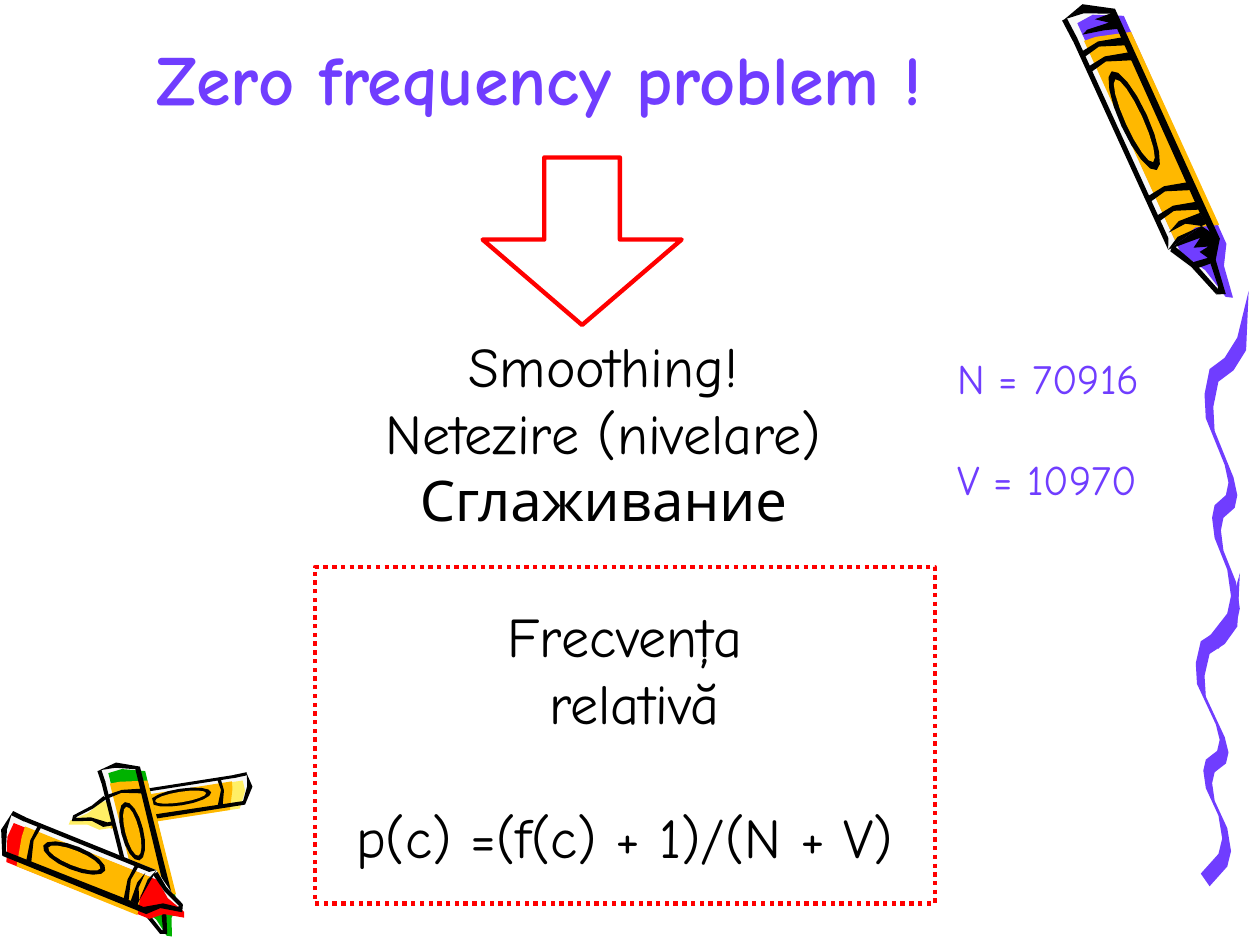
"""Builds the "Zero frequency problem" slide with its crayon decoration."""
from dataclasses import dataclass
from math import cos, hypot, pi, sin

from lxml import etree
from pptx import Presentation
from pptx.dml.color import RGBColor
from pptx.enum.dml import MSO_LINE
from pptx.enum.shapes import MSO_CONNECTOR, MSO_SHAPE
from pptx.enum.text import MSO_ANCHOR, MSO_AUTO_SIZE, PP_ALIGN
from pptx.oxml.ns import qn
from pptx.util import Inches, Pt

STRAIGHT = MSO_CONNECTOR.STRAIGHT
DOWN_ARROW, RECTANGLE = MSO_SHAPE.DOWN_ARROW, MSO_SHAPE.RECTANGLE
DOTTED = MSO_LINE.ROUND_DOT
TOP, MIDDLE, BOTTOM = MSO_ANCHOR.TOP, MSO_ANCHOR.MIDDLE, MSO_ANCHOR.BOTTOM
LEFT, CENTER = PP_ALIGN.LEFT, PP_ALIGN.CENTER
NO_AUTOFIT = MSO_AUTO_SIZE.NONE

FONT = "Comic Neue"
BLACK = RGBColor(0x00, 0x00, 0x00)
PAPER = RGBColor(0xF8, 0xF8, 0xF8)
VIOLET = RGBColor(0x70, 0x3D, 0xFF)
ORANGE = RGBColor(0xFF, 0xB8, 0x00)
YELLOW = RGBColor(0xFF, 0xEF, 0x66)
RED = RGBColor(0xFF, 0x00, 0x00)
GREEN = RGBColor(0x00, 0xB2, 0x00)

# Crayon parts: (distance from the blunt end, distance from the axis)
LENGTH = 2.38
SILHOUETTE = [(-0.12, -0.2), (-0.17, -0.02), (-0.03, 0.2), (1.97, 0.2), (LENGTH, 0.03), (1.88, -0.21)]
WAX = [(-0.05, -0.12), (1.94, -0.13), (2.15, -0.01), (2.41, 0.05), (2.44, 0.1),
       (2.18, 0.14), (2.03, 0.23), (0.05, 0.24), (-0.06, 0.02)]
SLEEVE = [(1.86, -0.13), (1.81, 0.06), (1.87, 0.24), (0.19, 0.24), (0.11, -0.03), (0.1, -0.13)]
NEAR_EDGE = [(0.02, -0.21), (1.88, -0.21), (1.8, -0.17), (0.05, -0.17)]
FAR_EDGE = [(-0.01, 0.15), (-0.1, -0.04), (-0.12, -0.2), (-0.17, -0.02), (-0.03, 0.2), (1.97, 0.2),
            (2.11, 0.1), (2.39, 0.06), (2.36, -0.01), (2.31, 0.03), (2.12, 0.05), (1.9, 0.15), (1.72, 0.14)]
POINT_EDGE = [(1.9, -0.2), (2.08, -0.1), (2.36, -0.01), (2.33, 0.02), (2.07, -0.06), (1.86, -0.16)]
COLLAR = [(1.88, -0.21), (1.82, -0.1), (1.82, 0.15), (1.72, 0.14), (1.71, -0.04), (1.76, -0.15), (1.75, 0),
          (1.82, 0.11)]
POINT_SHADE = [(1.88, -0.21), (1.82, 0.11), (1.97, 0.2), (2.12, 0.05), (2.11, -0.06), (2.05, -0.09),
               (2.07, 0.05), (2, 0.01), (1.99, 0.09), (1.95, -0.02), (1.9, 0.06)]
END_SHADE = [(0.05, -0.12), (0.09, 0.05), (0.13, 0.17), (-0.01, 0.16), (-0.02, 0.02), (0.05, 0.11), (0.03, -0.07)]
BAND = [(0, -0.19), (-0.03, -0.04), (0.05, 0.16), (-0.02, 0.16), (-0.07, -0.03), (-0.05, -0.19)]
BLUNT_CORNER = [(-0.12, -0.2), (0.06, -0.19)]

# One pen stroke, measured from its top left corner
STROKE = [(0.35, 0), (0.26, 0.37), (0.16, 0.53), (0.04, 0.62), (0, 0.82), (0.01, 1.01), (0.16, 1.38),
          (0.19, 1.52), (0.17, 1.62), (0.08, 1.7), (0.06, 1.8), (0.08, 1.96), (0.18, 2.21), (0.21, 2.42),
          (0.18, 2.56), (0.04, 2.74)]
NIB_X, NIB_Y = 0.07, 0.1


@dataclass
class Crayon:
    """Where a crayon lies, its thickness (negative flips it) and its looks."""
    blunt_end: tuple
    tip: tuple
    thickness: float
    color: RGBColor
    bands: tuple = (0.3, 1.65)
    shaded: bool = False

    def place(self, outline):
        """Turn crayon measurements into slide positions in inches."""
        (x, y), (tip_x, tip_y) = self.blunt_end, self.tip
        reach = hypot(tip_x - x, tip_y - y)
        along_x, along_y = (tip_x - x) / reach, (tip_y - y) / reach
        stretch = reach / LENGTH
        return [(x + along_x * a * stretch + along_y * c * self.thickness,
                 y + along_y * a * stretch - along_x * c * self.thickness) for a, c in outline]


BIG_CRAYON = Crayon((8.68, 0.18), (9.67, 2.35), 1, VIOLET, bands=(0.22, 0.35, 1.48, 1.65), shaded=True)
SMALL_CRAYONS = [
    Crayon((1.91, 6.27), (0.57, 6.48), 0.6, YELLOW),
    Crayon((0.96, 6.14), (1.28, 7.42), 0.8, GREEN),
    Crayon((0.1, 6.64), (1.46, 7.19), -0.86, RED),
]


def oval(half_length, half_width, corners=16):
    """Return the outline of the oval label on a crayon."""
    turns = [2 * pi * step / corners for step in range(corners)]
    return [(0.84 + half_length * cos(turn), -0.03 + half_width * sin(turn)) for turn in turns]


def add_outline(shapes, points, color):
    """Add a filled closed outline through points in inches."""
    corners = [(Inches(x), Inches(y)) for x, y in points]
    builder = shapes.build_freeform(*corners[0])
    builder.add_line_segments(corners[1:], close=True)
    outline = builder.convert_to_shape()
    outline.shadow.inherit = False
    outline.fill.solid()
    outline.fill.fore_color.rgb = color
    outline.line.fill.background()


def add_crayon(shapes, crayon):
    """Draw a crayon: wax and sleeve first, then the black ink over them."""
    parts = [(SILHOUETTE, PAPER), (WAX, crayon.color), (SLEEVE, ORANGE),
             (oval(0.43, 0.11), BLACK), (oval(0.36, 0.07), ORANGE)]
    ink = [NEAR_EDGE, FAR_EDGE, POINT_EDGE, COLLAR]
    ink += [[(position + a, c) for a, c in BAND] for position in crayon.bands]
    if crayon.shaded:
        ink += [POINT_SHADE, END_SHADE]
    parts += [(outline, BLACK) for outline in ink]

    group = shapes.add_group_shape().shapes
    for outline, color in parts:
        add_outline(group, crayon.place(outline), color)
    start, end = crayon.place(BLUNT_CORNER)
    corner = group.add_connector(STRAIGHT, *[Inches(n) for n in start + end])
    corner.line.color.rgb = BLACK
    corner.line.width = Pt(3 * abs(crayon.thickness))
    etree.SubElement(corner._element.spPr, qn("a:effectLst"))


def add_squiggle(shapes, left, top, stretch):
    """Draw the pen stroke as a ribbon between the two corners of a slanted nib."""
    near = [(left + x, top + y * stretch) for x, y in STROKE]
    far = [(x + NIB_X, y + NIB_Y) for x, y in near[1:]]
    add_outline(shapes, near + far[::-1], VIOLET)


def add_red_outline(shapes, preset, left, top, width, height):
    """Add an unfilled preset shape with a red outline."""
    outline = shapes.add_shape(preset, Inches(left), Inches(top), Inches(width), Inches(height))
    outline.shadow.inherit = False
    outline.fill.background()
    outline.line.color.rgb = RED
    outline.line.width = Pt(2.5)
    return outline


def write_lines(frame, lines, size, color, align=CENTER, anchor=MIDDLE, wrap=True, last_gap=0, bold=False):
    """Write one paragraph per line, with an optional gap in points before the last."""
    frame.word_wrap = wrap
    frame.auto_size = NO_AUTOFIT
    frame.vertical_anchor = anchor
    for index, line in enumerate(lines):
        paragraph = frame.paragraphs[0] if index == 0 else frame.add_paragraph()
        paragraph.alignment = align
        run = paragraph.add_run()
        run.text = line
        run.font.name = FONT
        run.font.size = Pt(size)
        run.font.bold = bold
        run.font.color.rgb = color
    if last_gap:
        paragraph.space_before = Pt(last_gap)


def add_text(shapes, left, top, width, height, lines, size, color, **layout):
    """Add a text box holding the given lines."""
    box = shapes.add_textbox(Inches(left), Inches(top), Inches(width), Inches(height))
    write_lines(box.text_frame, lines, size, color, **layout)


def set_title(title, text):
    """Place and format the slide title."""
    title.left, title.top = Inches(0.67), Inches(0.33)
    title.width, title.height = Inches(7.42), Inches(0.67)
    write_lines(title.text_frame, [text], 40, VIOLET, anchor=BOTTOM, bold=True)


def main():
    """Build and save the slide."""
    deck = Presentation()
    deck.slide_width, deck.slide_height = Inches(10), Inches(7.5)
    shapes = deck.slides.add_slide(deck.slide_layouts[5]).shapes

    for crayon in SMALL_CRAYONS:
        add_crayon(shapes, crayon)
    add_squiggle(shapes, 9.49, 4.55, 0.87)
    add_squiggle(shapes, 9.56, 2.31, 1)
    add_crayon(shapes, BIG_CRAYON)

    set_title(shapes.title, "Zero frequency problem ! ")
    add_text(shapes, 0.33, 2.58, 8.92, 1.7, ["Smoothing!", "Netezire (nivelare)", "Сглаживание"], 32, BLACK)
    arrow = add_red_outline(shapes, DOWN_ARROW, 3.83, 1.25, 1.58, 1.33)
    arrow.adjustments[0], arrow.adjustments[1] = 0.38, 0.51
    formula = add_red_outline(shapes, RECTANGLE, 2.5, 4.5, 4.92, 2.67)
    formula.line.dash_style = DOTTED
    write_lines(formula.text_frame, ["Frecvența", " relativă", "p(c) =(f(c) + 1)/(N + V)"], 32, BLACK,
                wrap=False, last_gap=38)
    add_text(shapes, 7.5, 2.75, 2, 1.3, ["N = 70916", "V = 10970"], 24, VIOLET,
             align=LEFT, anchor=TOP, last_gap=29)

    deck.save("out.pptx")


if __name__ == "__main__":
    main()
